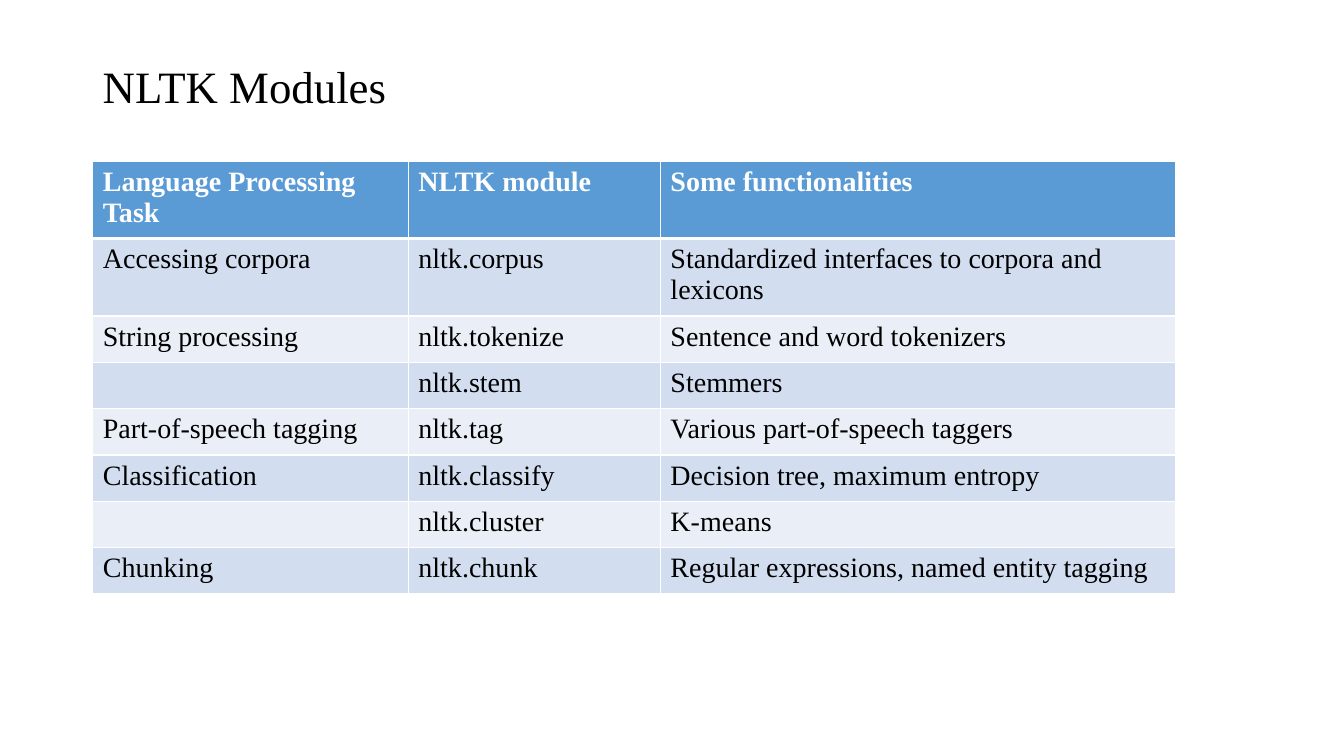
from dataclasses import astuple, dataclass

from lxml import etree
from pptx import Presentation
from pptx.dml.color import RGBColor
from pptx.enum.text import MSO_ANCHOR
from pptx.oxml.ns import qn
from pptx.util import Inches, Pt

MIDDLE = MSO_ANCHOR.MIDDLE
FONT = "Times New Roman"
COLORS = {
    "text": "000000",
    "header_text": "FFFFFF",
    "header": "5B9BD5",
    "odd_row": "D2DEEF",
    "even_row": "EAEFF7",
    "border": "FFFFFF",
}
TITLE_FORMAT = {"name": FONT, "size": Pt(32), "bold": False}
HEADER_FORMAT = {"name": FONT, "size": Pt(20), "bold": True}
BODY_FORMAT = {"name": FONT, "size": Pt(20), "bold": False}

LEFT = 0.92
COLUMN_WIDTHS = (3.13, 2.5, 5.11)
ROW_HEIGHT = 0.46
THIN, THICK = 1, 3


@dataclass(frozen=True)
class ModuleRow:
    task: str
    module: str
    functionality: str


ROWS = [
    ModuleRow("Language Processing Task", "NLTK module", "Some functionalities"),
    ModuleRow("Accessing corpora", "nltk.corpus",
              "Standardized interfaces to corpora and lexicons"),
    ModuleRow("String processing", "nltk.tokenize", "Sentence and word tokenizers"),
    ModuleRow("", "nltk.stem", "Stemmers"),
    ModuleRow("Part-of-speech tagging", "nltk.tag", "Various part-of-speech taggers"),
    ModuleRow("Classification", "nltk.classify", "Decision tree, maximum entropy"),
    ModuleRow("", "nltk.cluster", "K-means"),
    ModuleRow("Chunking", "nltk.chunk", "Regular expressions, named entity tagging"),
]


def write_text(para, text: str, font_format: dict, color: str) -> None:
    span = para.add_run()
    span.text = text
    for attribute, value in font_format.items():
        setattr(span.font, attribute, value)
    span.font.color.rgb = RGBColor.from_string(COLORS[color])


def add_borders(cell, widths: dict[str, int]) -> None:
    properties = cell._tc.get_or_add_tcPr()
    for side, width in widths.items():
        line = etree.SubElement(properties, qn(f"a:ln{side}"), w=str(Pt(width)))
        fill = etree.SubElement(line, qn("a:solidFill"))
        etree.SubElement(fill, qn("a:srgbClr"), val=COLORS["border"])


def add_title(page, text: str) -> None:
    box = page.shapes.add_textbox(Inches(LEFT), Inches(0.4), Inches(11.5), Inches(0.96))
    frame = box.text_frame
    frame.word_wrap = True
    frame.vertical_anchor = MIDDLE
    para = frame.paragraphs[0]
    para.line_spacing = 0.9
    write_text(para, text, TITLE_FORMAT, "text")


def add_module_table(page, rows: list[ModuleRow]) -> None:
    table = page.shapes.add_table(
        len(rows), len(COLUMN_WIDTHS), Inches(LEFT), Inches(1.6),
        Inches(sum(COLUMN_WIDTHS)), Inches(ROW_HEIGHT * len(rows))).table
    for column, width in zip(table.columns, COLUMN_WIDTHS):
        column.width = Inches(width)

    for index, row in enumerate(rows):
        table.rows[index].height = Inches(ROW_HEIGHT)
        is_header = index == 0
        fill = "header" if is_header else "odd_row" if index % 2 else "even_row"
        font_format = HEADER_FORMAT if is_header else BODY_FORMAT
        text_color = "header_text" if is_header else "text"
        # A thick rule separates the header from the body
        borders = {"L": THIN, "R": THIN,
                   "T": THICK if index == 1 else THIN,
                   "B": THICK if is_header else THIN}
        for cell, text in zip(table.rows[index].cells, astuple(row)):
            add_borders(cell, borders)
            cell.fill.solid()
            cell.fill.fore_color.rgb = RGBColor.from_string(COLORS[fill])
            if text:
                write_text(cell.text_frame.paragraphs[0], text, font_format, text_color)


def main() -> None:
    deck = Presentation()
    deck.slide_width, deck.slide_height = Inches(13.33), Inches(7.5)
    page = deck.slides.add_slide(deck.slide_layouts[6])
    add_title(page, "NLTK Modules")
    add_module_table(page, ROWS)
    deck.save("out.pptx")


if __name__ == "__main__":
    main()
